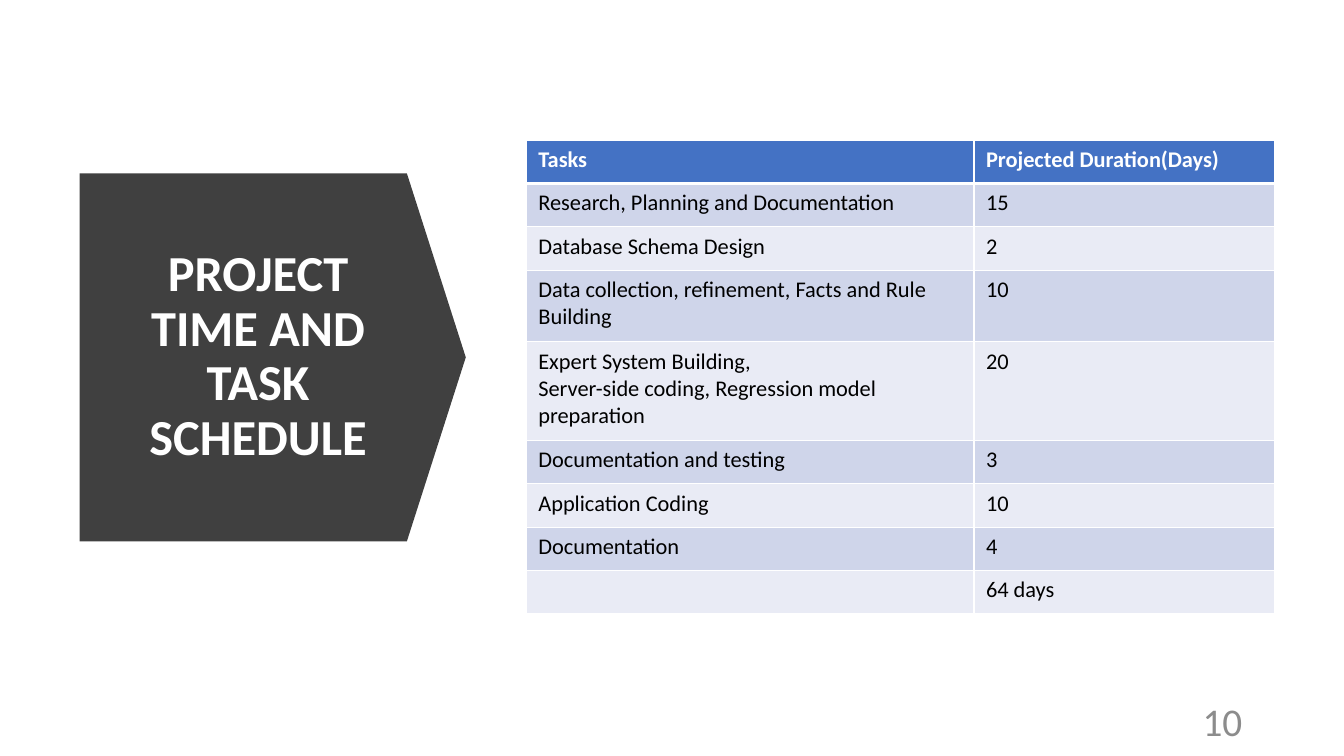
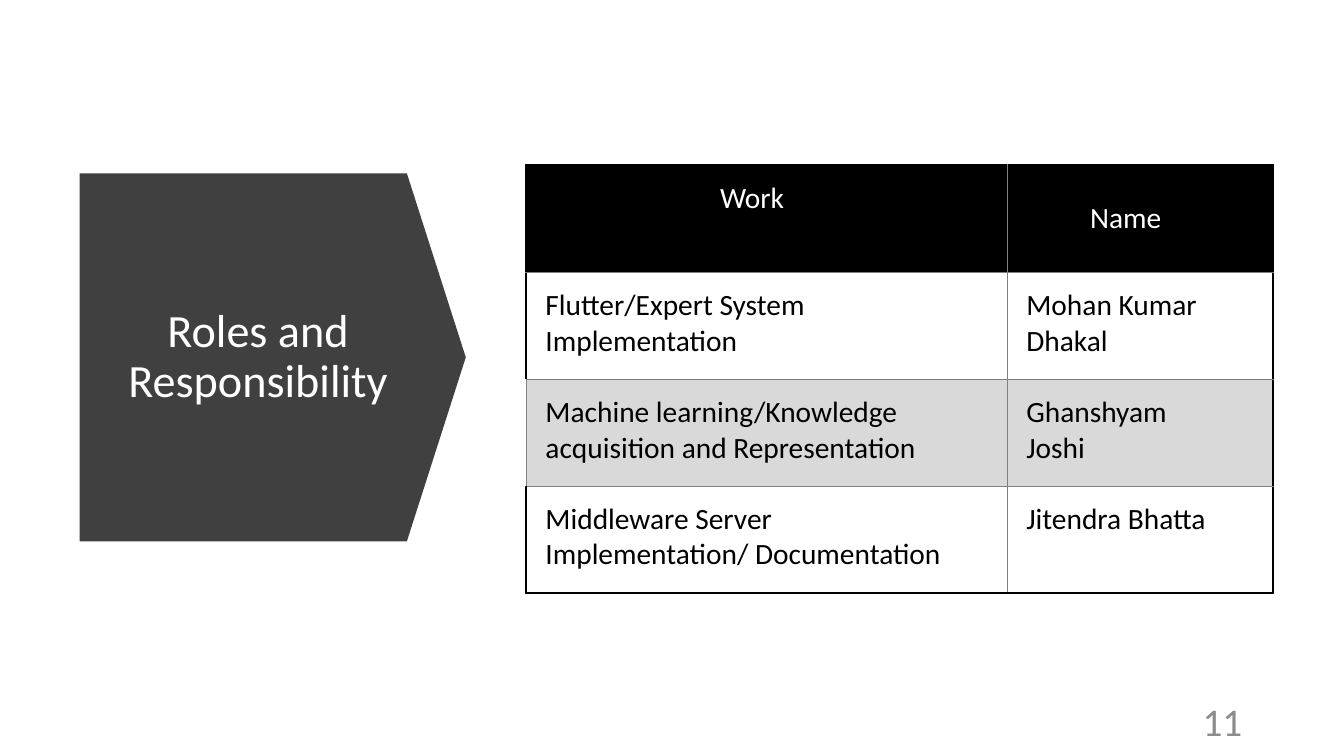
import pptx
import pptx.util
import pptx.dml.color
import pptx.enum.shapes
import pptx.enum.text
from lxml import etree

Inches = pptx.util.Inches
Pt = pptx.util.Pt
PP_ALIGN = pptx.enum.text.PP_ALIGN
ANCHOR = pptx.enum.text.MSO_ANCHOR
DRAWING = "{http://schemas.openxmlformats.org/drawingml/2006/main}"

FONT = "Calibri"
COLORS = {
    "white": "FFFFFF", "black": "000000", "arrow": "404040", "number": "8C8C8C",
    "header": "4472C4", "band_dark": "CFD5EA", "band_light": "E9EBF5",
    "grid": "808080", "gray_band": "D9D9D9",
}

SCHEDULE = [
    ("Tasks", "Projected Duration(Days)"),
    ("Research, Planning and Documentation", "15"),
    ("Database Schema Design", "2"),
    ("Data collection, refinement, Facts and Rule Building", "10"),
    ("Expert System Building,\nServer-side coding, Regression model preparation", "20"),
    ("Documentation and testing", "3"),
    ("Application Coding", "10"),
    ("Documentation", "4"),
    ("", "64 days"),
]
ROLES = [
    ("Work", "Name"),
    ("Flutter/Expert System Implementation", "Mohan Kumar Dhakal"),
    ("Machine learning/Knowledge acquisition and Representation", "Ghanshyam Joshi"),
    ("Middleware Server Implementation/ Documentation", "Jitendra Bhatta"),
]


def rgb(name):
    return pptx.dml.color.RGBColor.from_string(COLORS[name])


def format_text(tf, size, color, bold=False, align=PP_ALIGN.LEFT, spacing=None):
    for p in tf.paragraphs:
        p.alignment = align
        p.line_spacing = spacing
        for r in p.runs:
            r.font.name = FONT
            r.font.size = Pt(size)
            r.font.bold = bold
            r.font.color.rgb = rgb(color)


def set_borders(cell, edges):
    tcPr = cell._tc.get_or_add_tcPr()
    for side in "LRTB":
        color, width = edges[side]
        ln = etree.SubElement(tcPr, f"{DRAWING}ln{side}", w=str(Pt(width)))
        fill = etree.SubElement(ln, f"{DRAWING}solidFill")
        etree.SubElement(fill, f"{DRAWING}srgbClr", val=COLORS[color])


def add_base(prs, title, size, bold, number):
    slide = prs.slides.add_slide(prs.slide_layouts[5])
    arrow = slide.shapes.add_shape(
        pptx.enum.shapes.MSO_SHAPE.PENTAGON,
        Inches(0.79), Inches(1.72), Inches(3.83), Inches(3.65))
    arrow.adjustments[0] = 0.16
    arrow.shadow.inherit = False
    arrow.fill.solid()
    arrow.fill.fore_color.rgb = rgb("arrow")
    arrow.line.fill.background()

    sp = slide.shapes.title
    sp.left, sp.top, sp.width, sp.height = (Inches(v) for v in (1.12, 2.15, 2.88, 2.79))
    arrow.element.addnext(sp.element)
    tf = sp.text_frame
    tf.text = title
    tf.word_wrap = True
    tf.auto_size = pptx.enum.text.MSO_AUTO_SIZE.NONE
    tf.vertical_anchor = ANCHOR.MIDDLE
    format_text(tf, size, "white", bold, PP_ALIGN.CENTER, 0.9)

    box = slide.shapes.add_textbox(Inches(9.42), Inches(6.95), Inches(3), Inches(0.4))
    tf = box.text_frame
    tf.word_wrap = True
    tf.vertical_anchor = ANCHOR.MIDDLE
    tf.text = str(number)
    format_text(tf, 28, "number", align=PP_ALIGN.RIGHT)
    return slide


def add_grid(slide, rows, top, widths, heights, size, insets, fills, edges, bold_header):
    table = slide.shapes.add_table(
        len(rows), len(widths), Inches(5.22), Inches(top),
        Inches(sum(widths)), Inches(sum(heights))).table
    table.horz_banding = False
    for col, width in zip(table.columns, widths):
        col.width = Inches(width)
    for i, (row, height) in enumerate(zip(rows, heights)):
        table.rows[i].height = Inches(height)
        for j, text in enumerate(row):
            cell = table.cell(i, j)
            cell.margin_left, cell.margin_top, cell.margin_right, cell.margin_bottom = (
                Inches(v) for v in insets)
            set_borders(cell, edges(i, j))
            fill = fills(i)
            if fill:
                cell.fill.solid()
                cell.fill.fore_color.rgb = rgb(fill)
            else:
                cell.fill.background()
            cell.text_frame.text = text
            format_text(cell.text_frame, size, "black" if i else "white",
                        bold_header and i == 0)
    return table


def schedule_fill(i):
    if i == 0:
        return "header"
    return "band_dark" if i % 2 else "band_light"


def schedule_edges(i, j):
    thin, thick = ("white", 1), ("white", 3)
    return {"L": thin, "R": thin,
            "T": thick if i == 1 else thin, "B": thick if i == 0 else thin}


def roles_fill(i):
    return {0: "black", 2: "gray_band"}.get(i)


def roles_edges(i, j):
    inner, outer = ("grid", 0.5), ("black", 1.5)
    return {"L": outer if j == 0 and i != 2 else inner,
            "R": outer if j == 1 else inner,
            "T": outer if i == 0 else inner,
            "B": outer if i == len(ROLES) - 1 else inner}


def main():
    prs = pptx.Presentation()
    prs.slide_width, prs.slide_height = Inches(13.33), Inches(7.5)

    slide = add_base(prs, "PROJECT TIME AND TASK SCHEDULE", 36, True, 10)
    heights = [{3: 0.71, 4: 0.98}.get(i, 0.43) for i in range(len(SCHEDULE))]
    add_grid(slide, SCHEDULE, 1.39, (4.44, 2.98), heights, 16,
             (0.12, 0.06, 0.12, 0.06), schedule_fill, schedule_edges, True)

    slide = add_base(prs, "Roles and Responsibility", 33, False, 11)
    table = add_grid(slide, ROLES, 1.64, (4.77, 2.64), [1.06] * len(ROLES), 21,
                     (0.19, 0.15, 0.48, 0.15), roles_fill, roles_edges, False)
    for cell, anchor in zip(table.rows[0].cells, (ANCHOR.TOP, ANCHOR.MIDDLE)):
        cell.vertical_anchor = anchor
        cell.text_frame.paragraphs[0].alignment = PP_ALIGN.CENTER

    prs.save("out.pptx")


if __name__ == "__main__":
    main()
